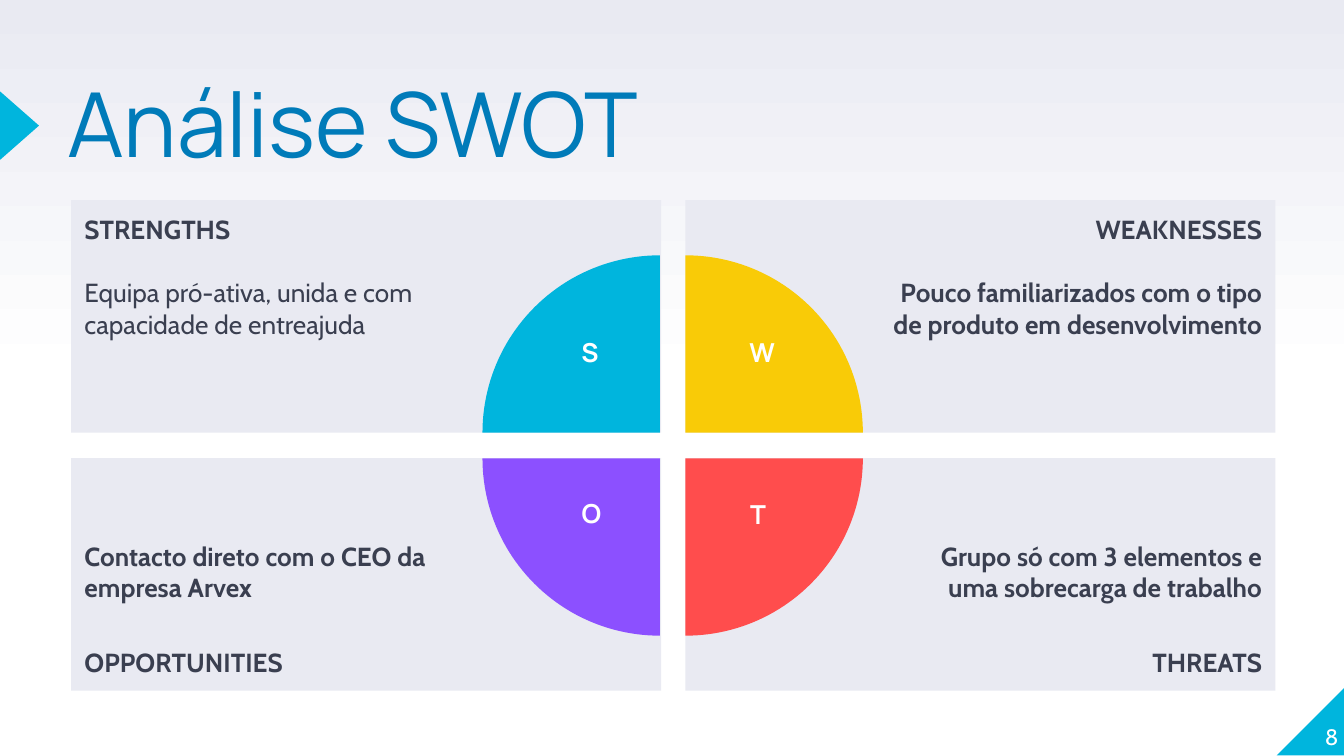
from copy import deepcopy

from pptx import Presentation
from pptx.dml.color import RGBColor
from pptx.enum.shapes import MSO_SHAPE as Shape
from pptx.enum.text import MSO_ANCHOR as Anchor, MSO_AUTO_SIZE as AutoSize, PP_ALIGN as Align
from pptx.oxml.ns import qn
from pptx.util import Inches, Pt

CYAN = RGBColor(0x00, 0xB5, 0xDD)
YELLOW = RGBColor(0xF9, 0xCB, 0x07)
RED = RGBColor(0xFF, 0x4D, 0x4D)
PURPLE = RGBColor(0x8C, 0x50, 0xFF)
BLUE = RGBColor(0x00, 0x7B, 0xB9)
LAVENDER = RGBColor(0xE9, 0xEA, 0xF2)
INK = RGBColor(0x3A, 0x3F, 0x50)
WHITE = RGBColor(0xFF, 0xFF, 0xFF)

# Content: clockwise from top left, with column, row and letter centre
TITLE = "Análise SWOT"
PAGE = "8"
QUADRANTS = [
    dict(heading="STRENGTHS", detail="Equipa pró-ativa, unida e com capacidade de entreajuda",
         bold=False, color=CYAN, col=0, row=0, center=(4.39, 2.7)),
    dict(heading="WEAKNESSES", detail="Pouco familiarizados com o tipo de produto em desenvolvimento",
         bold=True, color=YELLOW, col=1, row=0, center=(5.67, 2.7)),
    dict(heading="THREATS", detail="Grupo só com 3 elementos e uma sobrecarga de trabalho",
         bold=True, color=RED, col=1, row=1, center=(5.64, 3.91)),
    dict(heading="OPPORTUNITIES", detail="Contacto direto com o CEO da empresa Arvex",
         bold=True, color=PURPLE, col=0, row=1, center=(4.4, 3.9)),
]

# Layout in inches, on a 16:9 slide
SLIDE_W = 10
SLIDE_H = SLIDE_W * 9 / 16
PANEL_LEFT, PANEL_TOP, PANEL_W, PANEL_H = 0.53, 1.49, 4.39, 1.73
COL_STEP, ROW_STEP = 4.57, 1.92
PIE_LEFT, PIE_TOP, PIE_SIZE, PIE_GAP = 3.59, 1.9, 2.64, 0.19
LETTER_BOX, LETTER_INSET = 0.48, 0.04
INSET, WIDE_INSET = 0.1, 1.5


def write(frame, text, first=True, font="Cabin", size=14, color=INK, bold=False,
          align=Align.LEFT, before=0, line=None):
    paragraph = frame.paragraphs[0] if first else frame.add_paragraph()
    paragraph.alignment = align
    paragraph.space_before = Pt(before)
    if line:
        paragraph.line_spacing = line
    run = paragraph.add_run()
    run.text = text
    run.font.name, run.font.size, run.font.bold = font, Pt(size), bold
    run.font.color.rgb = color


def set_frame(frame, anchor, left=0, top=0, right=0, bottom=0):
    frame.word_wrap = True
    frame.auto_size = AutoSize.NONE
    frame.vertical_anchor = anchor
    frame.margin_left, frame.margin_top = Inches(left), Inches(top)
    frame.margin_right, frame.margin_bottom = Inches(right), Inches(bottom)


def add_filled(slide, kind, box, color, rotation=0):
    shape = slide.shapes.add_shape(kind, *map(Inches, box))
    shape.shadow.inherit = False
    shape.fill.solid()
    shape.fill.fore_color.rgb = color
    shape.line.fill.background()
    shape.rotation = rotation
    return shape


def add_background(slide):
    fill = slide.background.fill
    fill.gradient()
    fill.gradient_angle = 90
    stop_list = next(slide.element.iter(qn("a:gsLst")))
    stop_list.insert(1, deepcopy(stop_list[0]))
    for stop, position, color in zip(fill.gradient_stops, (0, 0.5, 1), (WHITE, WHITE, LAVENDER)):
        stop.position = position
        stop.color.rgb = color


def add_panel(slide, quadrant):
    col, row = quadrant["col"], quadrant["row"]
    box = (PANEL_LEFT + col * COL_STEP, PANEL_TOP + row * ROW_STEP, PANEL_W, PANEL_H)
    frame = add_filled(slide, Shape.RECTANGLE, box, LAVENDER).text_frame
    set_frame(frame, Anchor.BOTTOM if row else Anchor.TOP, top=INSET, bottom=INSET,
              left=WIDE_INSET if col else INSET, right=INSET if col else WIDE_INSET)
    align = Align.RIGHT if col else Align.LEFT
    lines = [(quadrant["heading"], True), (quadrant["detail"], quadrant["bold"])]
    if row:
        lines.reverse()
    gap = 23 if row else 17
    for i, (text, bold) in enumerate(lines):
        write(frame, text, first=i == 0, bold=bold, align=align, before=gap * i)


def add_pie(slide, quadrant, rotation):
    box = (PIE_LEFT + quadrant["col"] * PIE_GAP, PIE_TOP + quadrant["row"] * PIE_GAP,
           PIE_SIZE, PIE_SIZE)
    pie = add_filled(slide, Shape.PIE, box, quadrant["color"], rotation)
    # Angles from 180 to 270 degrees, in 60000ths over 100000
    pie.adjustments[0], pie.adjustments[1] = 108, 162


def add_letter(slide, quadrant):
    x, y = (c - LETTER_BOX / 2 for c in quadrant["center"])
    frame = slide.shapes.add_textbox(*map(Inches, (x, y, LETTER_BOX, LETTER_BOX))).text_frame
    set_frame(frame, Anchor.TOP, top=LETTER_INSET, bottom=LETTER_INSET)
    write(frame, quadrant["heading"][0], font="Manrope", color=WHITE, bold=True,
          align=Align.CENTER)


def main():
    deck = Presentation()
    deck.slide_width, deck.slide_height = Inches(SLIDE_W), Inches(SLIDE_H)
    slide = deck.slides.add_slide(deck.slide_layouts[5])
    add_background(slide)

    # Corner and title markers
    corner = add_filled(slide, Shape.RIGHT_TRIANGLE, (9.5, 5.11, 0.51, 0.51), CYAN)
    corner.element.spPr.find(qn("a:xfrm")).set("flipH", "1")
    add_filled(slide, Shape.ISOSCELES_TRIANGLE, (-0.11, 0.79, 0.51, 0.29), CYAN, 90)

    # Title and page number
    title = slide.shapes.title
    title.left, title.top, title.width, title.height = map(Inches, (0.5, 0.66, 6.17, 1.18))
    set_frame(title.text_frame, Anchor.TOP)
    write(title.text_frame, TITLE, font="Manrope", size=48, color=BLUE, line=0.8)
    page = slide.shapes.add_textbox(*map(Inches, (9.46, 5.07, 0.5, 0.51))).text_frame
    set_frame(page, Anchor.BOTTOM)
    write(page, PAGE, size=12, color=WHITE, align=Align.RIGHT)

    # Panels, then the quarter circles and letters above them
    for quadrant in QUADRANTS:
        add_panel(slide, quadrant)
    for i, quadrant in enumerate(QUADRANTS):
        add_pie(slide, quadrant, 90 * i)
    for quadrant in QUADRANTS:
        add_letter(slide, quadrant)

    deck.save("out.pptx")


if __name__ == "__main__":
    main()
